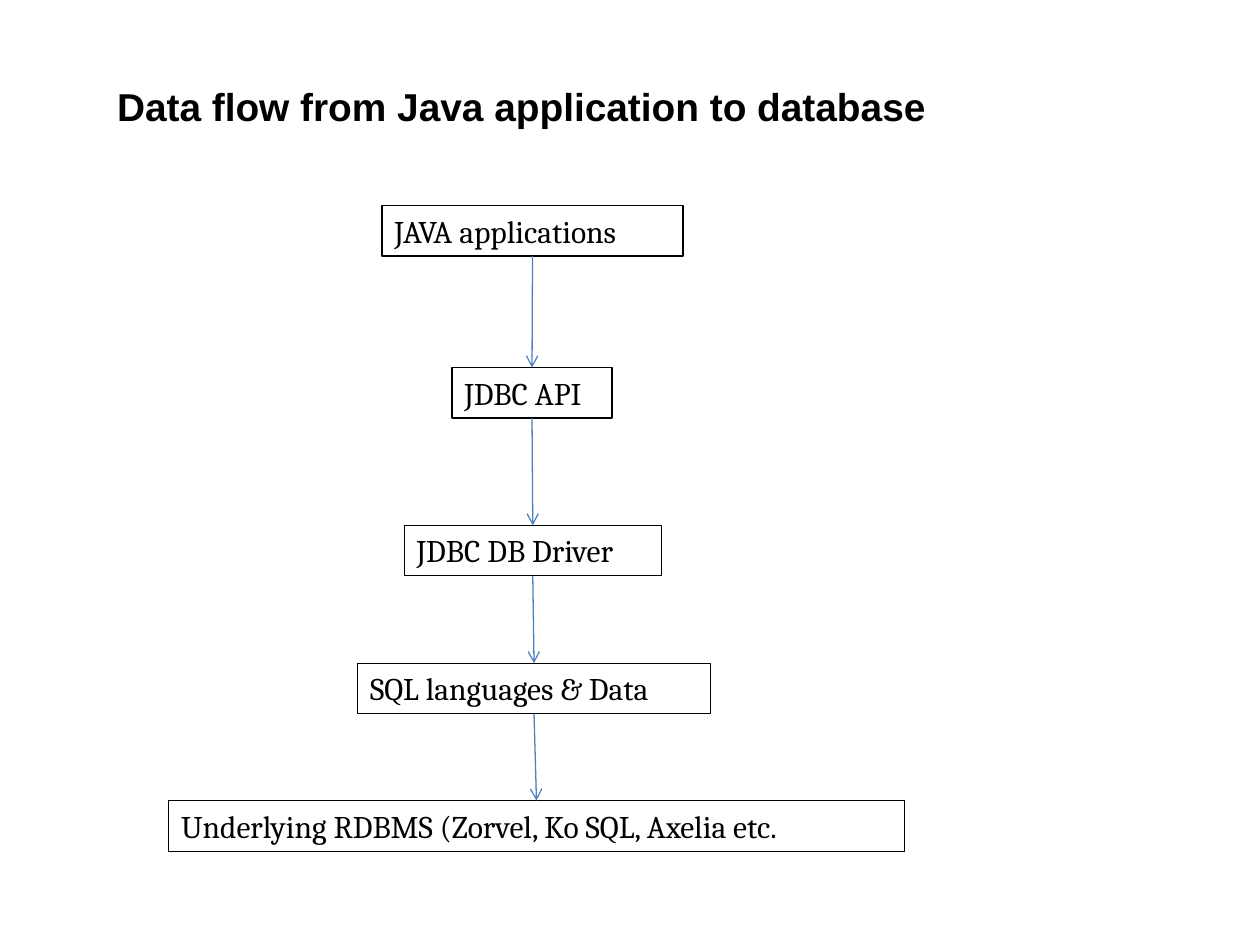
from dataclasses import dataclass
from itertools import pairwise

import lxml.etree
import pptx
import pptx.dml.color
import pptx.enum.shapes
import pptx.enum.text
import pptx.oxml.ns
import pptx.shapes.autoshape
import pptx.shapes.connector
import pptx.slide
import pptx.util
from pptx.util import Cm

BLACK = pptx.dml.color.RGBColor(0x00, 0x00, 0x00)
BLUE = pptx.dml.color.RGBColor(0x4F, 0x81, 0xBD)
LAYER_HEIGHT = Cm(1.02)
LINE_WIDTH = pptx.util.Pt(0.75)
BOTTOM, TOP = 2, 0


@dataclass(frozen=True)
class Layer:
    label: str
    left: float
    top: float
    width: float


LAYERS = [
    Layer("JAVA applications", 7.7, 4.14, 6.07),
    Layer("JDBC API", 9.11, 7.41, 3.23),
    Layer("JDBC DB Driver", 8.15, 10.59, 5.18),
    Layer("SQL languages & Data", 7.21, 13.37, 7.11),
    Layer("Underlying RDBMS (Zorvel, Ko SQL, Axelia etc.", 3.4, 16.14, 14.83),
]


def draw_title(slide: pptx.slide.Slide, wording: str) -> None:
    title = slide.shapes.add_textbox(Cm(2.11), Cm(1.55), Cm(23.27), Cm(1.19))
    title.text_frame.word_wrap = True
    heading = title.text_frame.paragraphs[0]
    heading.text = wording
    heading.font.name = "Arial"
    heading.font.size = pptx.util.Pt(22.2)
    heading.font.bold = True
    heading.font.color.rgb = BLACK


def draw_layer(
    slide: pptx.slide.Slide, layer: Layer
) -> pptx.shapes.autoshape.Shape:
    box = slide.shapes.add_shape(
        pptx.enum.shapes.MSO_SHAPE.RECTANGLE,
        Cm(layer.left), Cm(layer.top), Cm(layer.width), LAYER_HEIGHT,
    )
    box.shadow.inherit = False
    box.fill.background()
    box.line.color.rgb = BLACK
    box.line.width = LINE_WIDTH
    box.text_frame.word_wrap = True
    box.text_frame.vertical_anchor = pptx.enum.text.MSO_ANCHOR.TOP
    label = box.text_frame.paragraphs[0]
    label.text = layer.label
    label.alignment = pptx.enum.text.PP_ALIGN.LEFT
    label.font.name = "Cambria"
    label.font.size = pptx.util.Pt(18)
    label.font.color.rgb = BLACK
    return box


def draw_flow(
    slide: pptx.slide.Slide,
    upper: pptx.shapes.autoshape.Shape,
    lower: pptx.shapes.autoshape.Shape,
) -> None:
    flow = slide.shapes.add_connector(
        pptx.enum.shapes.MSO_CONNECTOR.STRAIGHT, 0, 0, 0, 0
    )
    flow.begin_connect(upper, BOTTOM)
    flow.end_connect(lower, TOP)
    flow.line.color.rgb = BLUE
    flow.line.width = LINE_WIDTH
    qn = pptx.oxml.ns.qn
    lxml.etree.SubElement(flow.line._get_or_add_ln(), qn("a:tailEnd"), type="arrow")
    lxml.etree.SubElement(flow._element.spPr, qn("a:effectLst"))


def main() -> None:
    presentation = pptx.Presentation()
    presentation.slide_width = Cm(25.4)
    presentation.slide_height = Cm(19.05)
    slide = presentation.slides.add_slide(presentation.slide_layouts[6])
    boxes = [draw_layer(slide, layer) for layer in LAYERS]
    for upper, lower in pairwise(boxes):
        draw_flow(slide, upper, lower)
    draw_title(slide, "Data flow from Java application to database")
    presentation.save("out.pptx")


if __name__ == "__main__":
    main()
